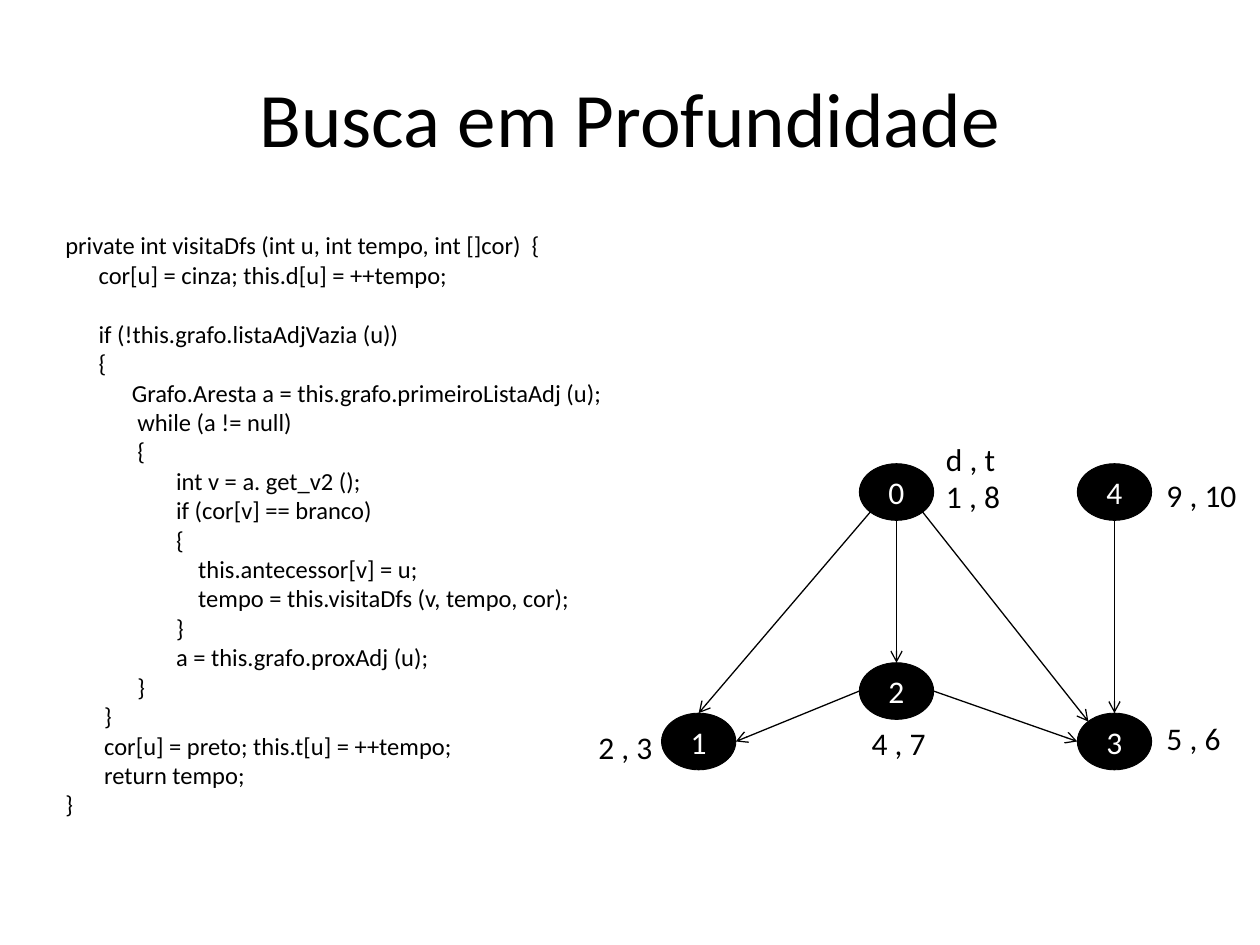
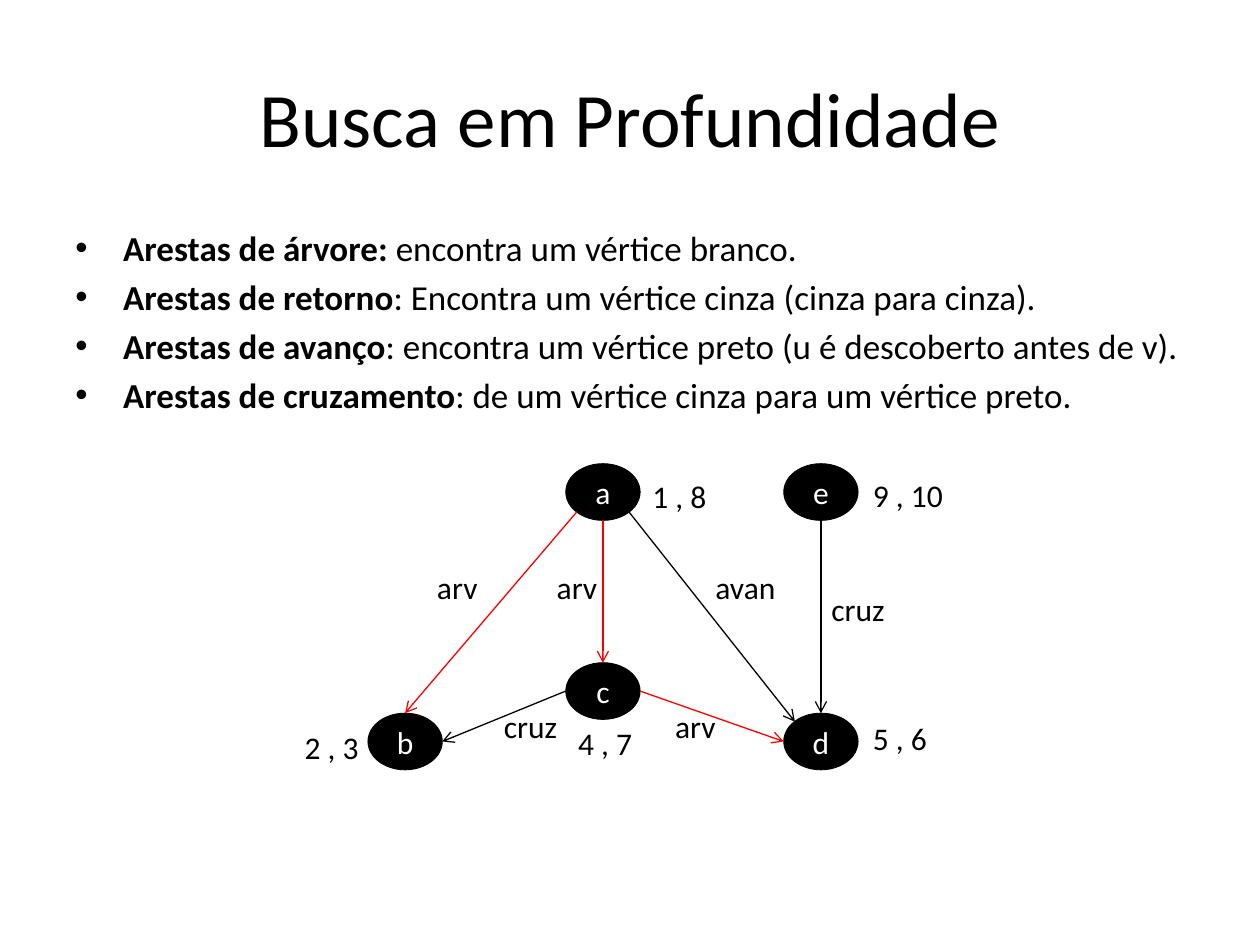
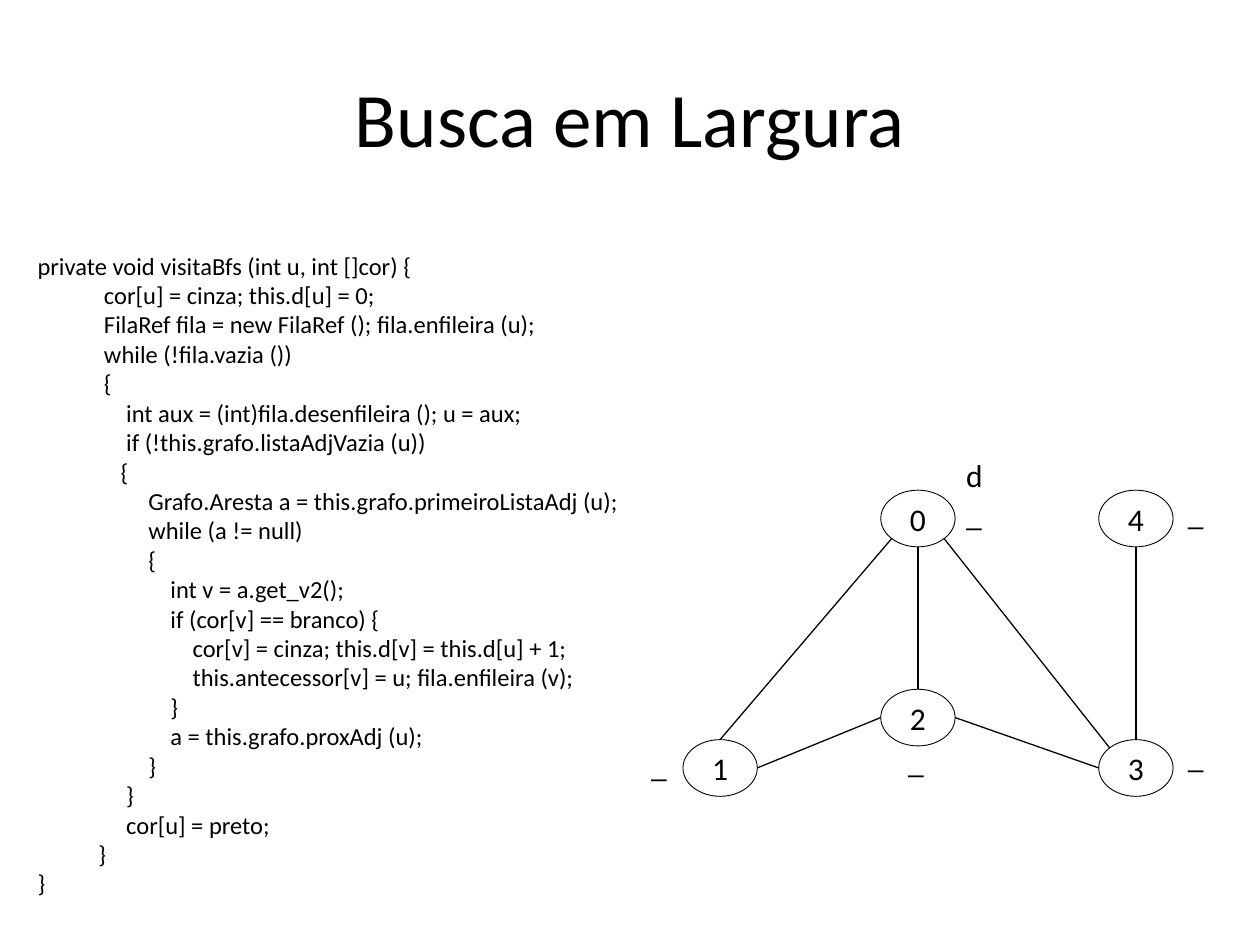
from pptx import Presentation
from pptx.dml.color import RGBColor
from pptx.enum.shapes import MSO_CONNECTOR, MSO_SHAPE
from pptx.enum.text import MSO_ANCHOR, MSO_AUTO_SIZE, PP_ALIGN
from pptx.oxml.ns import qn
from pptx.util import Inches, Pt
from lxml.etree import SubElement

BLACK, WHITE, RED = "000000", "FFFFFF", "FF0000"
FONT = "Calibri"
NODE_WIDTH, NODE_HEIGHT = 0.59, 0.45

# Node places, measured from the first node
NODE_OFFSETS = [(0, 0), (-1.57, 1.98), (0, 1.58), (1.73, 1.98), (1.73, 0)]

# Points on an ellipse, as fractions of its width and height
PORTS = {
    "top": (0.5, 0), "bottom": (0.5, 1), "left": (0, 0.5), "right": (1, 0.5),
    "top left": (0.15, 0.15), "bottom left": (0.15, 0.85), "bottom right": (0.85, 0.85),
}
EDGES = [
    (0, "bottom left", 1, "top"),
    (2, "left", 1, "right"),
    (0, "bottom", 2, "top"),
    (0, "bottom right", 3, "top left"),
    (2, "right", 3, "left"),
    (4, "bottom", 3, "top"),
]

# Labels: text, offset from the first node
TIMES = [("1 , 8", 0.59, 0.06), ("2 , 3", -2.17, 2.05), ("4 , 7", 0, 2.02),
         ("5 , 6", 2.34, 1.98), ("9 , 10", 2.34, 0.05)]
EDGE_KINDS = [("arv", -1.12, 0.78), ("arv", -0.17, 0.78), ("arv", 0.77, 1.88),
              ("avan", 1.09, 0.78), ("cruz", -0.59, 1.88), ("cruz", 2.01, 0.95)]
UNKNOWN = [("_", 0.58, -0.01), ("_", -1.92, 1.98), ("_", 0.12, 1.95),
           ("_", 2.34, 1.91), ("_", 2.34, -0.02)]
LABEL_WIDTHS = {"9 , 10": 0.76, "d , t": 0.6, "arv": 0.53, "avan": 0.68, "_": 0.33, "d": 0.39}

DFS_CODE = [
    "private int visitaDfs (int u, int tempo, int []cor)  {",
    "      cor[u] = cinza; this.d[u] = ++tempo;",
    "        ",
    "      if (!this.grafo.listaAdjVazia (u))",
    "      {",
    "            Grafo.Aresta a = this.grafo.primeiroListaAdj (u);",
    "             while (a != null)",
    "             {",
    "                    int v = a. get_v2 ();",
    "                    if (cor[v] == branco)",
    "                    {",
    "                        this.antecessor[v] = u;",
    "                        tempo = this.visitaDfs (v, tempo, cor);",
    "                    }",
    "                    a = this.grafo.proxAdj (u);",
    "             }",
    "       }",
    "       cor[u] = preto; this.t[u] = ++tempo;",
    "       return tempo;",
    "}",
]

BFS_CODE = [
    "private void visitaBfs (int u, int []cor) {",
    "            cor[u] = cinza; this.d[u] = 0;",
    "            FilaRef fila = new FilaRef (); fila.enfileira (u);",
    "            while (!fila.vazia ())",
    "            {",
    "                int aux = (int)fila.desenfileira (); u = aux;",
    "                if (!this.grafo.listaAdjVazia (u))",
    "               {",
    "                    Grafo.Aresta a = this.grafo.primeiroListaAdj (u);",
    "                    while (a != null)",
    "                    {",
    "                        int v = a.get_v2();",
    "                        if (cor[v] == branco) {",
    "                            cor[v] = cinza; this.d[v] = this.d[u] + 1;",
    "                            this.antecessor[v] = u; fila.enfileira (v);",
    "                        }",
    "                        a = this.grafo.proxAdj (u);",
    "                    }",
    "                }",
    "                cor[u] = preto;",
    "           }",
    "}",
]

EDGE_DEFINITIONS = [
    ("Arestas de árvore: ", "encontra um vértice branco."),
    ("Arestas de retorno", ": Encontra um vértice cinza (cinza para cinza)."),
    ("Arestas de avanço", ": encontra um vértice preto (u é descoberto antes de v)."),
    ("Arestas de cruzamento", ": de um vértice cinza para um vértice preto."),
]

SLIDES = [
    {"title": "Busca em Profundidade", "code": DFS_CODE, "code_box": (0.42, 1.78, 4.49, 4.81),
     "origin": (6.82, 3.68), "names": "01234", "fill": BLACK, "text": WHITE,
     "tree_edges": [], "arrows": True, "labels": TIMES + [("d , t", 0.59, -0.24)]},
    {"title": "Busca em Profundidade", "definitions": EDGE_DEFINITIONS,
     "origin": (4.49, 3.68), "names": "abcde", "fill": BLACK, "text": WHITE,
     "tree_edges": [(0, 1), (0, 2), (2, 3)], "arrows": True, "labels": TIMES + EDGE_KINDS},
    {"title": "Busca em Largura", "code": BFS_CODE, "code_box": (0.2, 1.94, 4.84, 5.28),
     "origin": (6.99, 3.89), "names": "01234", "fill": WHITE, "text": BLACK,
     "tree_edges": [], "arrows": False, "labels": UNKNOWN + [("d", 0.58, -0.32)]},
]


def add_run(paragraph, text, size, color=BLACK, bold=False):
    run = paragraph.add_run()
    run.text = text
    run.font.name = FONT
    run.font.size = Pt(size)
    run.font.bold = bold
    run.font.color.rgb = RGBColor.from_string(color)


def add_text_box(slide, box, lines, size, wrap=False):
    # Each line is a list of runs, given as (text, bold)
    frame = slide.shapes.add_textbox(*map(Inches, box)).text_frame
    frame.word_wrap = wrap
    frame.auto_size = MSO_AUTO_SIZE.NONE if wrap else MSO_AUTO_SIZE.SHAPE_TO_FIT_TEXT
    for number, runs in enumerate(lines):
        paragraph = frame.add_paragraph() if number else frame.paragraphs[0]
        for text, bold in runs:
            add_run(paragraph, text, size, bold=bold)
    return frame


presentation = Presentation()
presentation.slide_width = Inches(10)
presentation.slide_height = Inches(7.5)

for content in SLIDES:
    slide = presentation.slides.add_slide(presentation.slide_layouts[6])

    # Title
    title = add_text_box(slide, (0.5, 0.3, 9, 1.25), [[(content["title"], False)]], 44, wrap=True)
    title.vertical_anchor = MSO_ANCHOR.MIDDLE
    title.paragraphs[0].alignment = PP_ALIGN.CENTER

    # Code listing
    if "code" in content:
        code_lines = [[(line, False)] for line in content["code"]]
        add_text_box(slide, content["code_box"], code_lines, 14)

    # Bulleted definitions
    if "definitions" in content:
        lines = [[(term, True), (meaning, False)] for term, meaning in content["definitions"]]
        body = add_text_box(slide, (0.5, 1.75, 9, 4.95), lines, 20, wrap=True)
        for number, paragraph in enumerate(body.paragraphs):
            properties = paragraph._p.get_or_add_pPr()
            properties.set("marL", str(Inches(0.38)))
            properties.set("indent", str(Inches(-0.38)))
            SubElement(properties, qn("a:buFont")).set("typeface", "Arial")
            SubElement(properties, qn("a:buChar")).set("char", "•")
            if number:
                paragraph.space_before = Pt(4)

    # Graph nodes
    left, top = content["origin"]
    for name, (dx, dy) in zip(content["names"], NODE_OFFSETS):
        node = slide.shapes.add_shape(MSO_SHAPE.OVAL, Inches(left + dx), Inches(top + dy),
                                      Inches(NODE_WIDTH), Inches(NODE_HEIGHT))
        node.shadow.inherit = False
        node.fill.solid()
        node.fill.fore_color.rgb = RGBColor.from_string(content["fill"])
        node.line.color.rgb = RGBColor.from_string(BLACK)
        node.line.width = Pt(0.5)
        node.text_frame.vertical_anchor = MSO_ANCHOR.MIDDLE
        paragraph = node.text_frame.paragraphs[0]
        paragraph.alignment = PP_ALIGN.CENTER
        add_run(paragraph, name, 18, content["text"])

    # Graph edges
    for start, start_port, end, end_port in EDGES:
        points = []
        for index, port in ((start, start_port), (end, end_port)):
            (dx, dy), (across, down) = NODE_OFFSETS[index], PORTS[port]
            points += [Inches(left + dx + across * NODE_WIDTH),
                       Inches(top + dy + down * NODE_HEIGHT)]
        edge = slide.shapes.add_connector(MSO_CONNECTOR.STRAIGHT, *points)
        color = RED if (start, end) in content["tree_edges"] else BLACK
        edge.line.color.rgb = RGBColor.from_string(color)
        edge.line.width = Pt(0.75)
        if content["arrows"]:
            SubElement(edge.line._get_or_add_ln(), qn("a:tailEnd")).set("type", "arrow")
        SubElement(edge._element.spPr, qn("a:effectLst"))

    # Labels beside nodes and edges
    for text, dx, dy in content["labels"]:
        box = (left + dx, top + dy, LABEL_WIDTHS.get(text, 0.64), 0.4)
        add_text_box(slide, box, [[(text, False)]], 18)

presentation.save("out.pptx")
